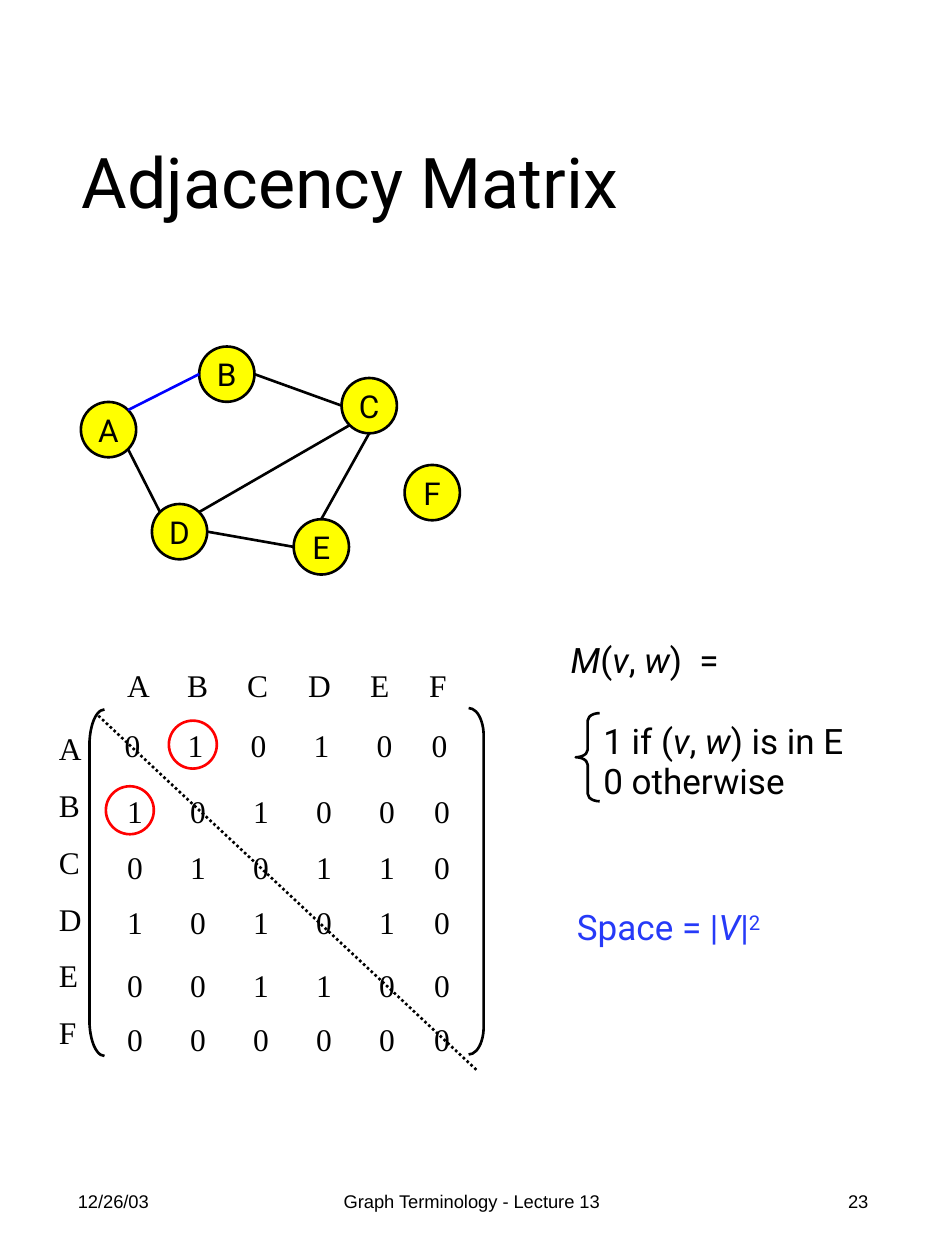
from dataclasses import dataclass
from math import cos, radians, sin

from lxml import etree
from pptx import Presentation
from pptx.dml.color import RGBColor
from pptx.enum import dml, shapes, text
from pptx.oxml import ns
from pptx.util import Pt


@dataclass(frozen=True)
class Theme:
    ink: str = "000000"
    node: str = "FFFF00"
    mark: str = "FF0000"
    edge: str = "0000FF"
    note: str = "263AF8"
    sans: str = "Roboto"
    serif: str = "Times New Roman"
    footer: str = "Arial"
    title_size: float = 40
    body_size: float = 20
    label_size: float = 18
    footer_size: float = 10.5
    line: float = 1.5


THEME = Theme()
ALIGN = text.PP_ALIGN
ANCHOR = text.MSO_ANCHOR
SHAPE = shapes.MSO_SHAPE

RADIUS = 15.8
NODES = {"A": (62, 245.5), "B": (129.6, 213.8), "C": (211, 231.8),
         "E": (183.6, 312.5), "D": (102.6, 303.8), "F": (247, 281.5)}
# Each edge leaves and meets a node at an angle, clockwise from the right
EDGES = [("C", 90, "E", -90), ("D", 0, "E", 180), ("A", 45, "D", -135),
         ("C", 135, "D", -45), ("B", 0, "C", 180), ("A", -45, "B", 180)]

HEADER_TABS = (34.3, 68.6, 103.4, 138.9, 172.6)
ROW_TABS = (36, 72, 108, 144, 175.5)
ROWS = [(64.1, 411.1, "010100"), (65.5, 449.3, "101000"),
        (65.5, 481, "010110"), (65.5, 512.6, "101010"),
        (65.5, 548.6, "001100"), (65.5, 579.6, "000000")]


def write(para, content, *, font=THEME.sans, size=THEME.body_size,
          color=THEME.ink, align=ALIGN.LEFT, before=0, tabs=()):
    """Write marked text: *italic* and ^superscript^."""
    if tabs:
        stops = etree.SubElement(para._p.get_or_add_pPr(), ns.qn("a:tabLst"))
        for stop in tabs:
            etree.SubElement(stops, ns.qn("a:tab"), pos=str(Pt(stop)), algn="l")
    para.alignment = align
    para.space_before = Pt(before)
    for i, part in enumerate(content.split("*")):
        for j, piece in enumerate(part.split("^")):
            if not piece:
                continue
            span = para.add_run()
            span.text = piece
            span.font.name = font
            span.font.size = Pt(size)
            span.font.italic = i % 2 == 1
            span.font.color.rgb = RGBColor.from_string(color)
            if j % 2:
                span._r.get_or_add_rPr().set("baseline", "30000")


def add_text(page, left, top, width, height, *lines, anchor=ANCHOR.TOP,
             gap=0, **style):
    box = page.shapes.add_textbox(Pt(left), Pt(top), Pt(width), Pt(height))
    frame = box.text_frame
    frame.word_wrap = True
    frame.vertical_anchor = anchor
    for i, line in enumerate(lines):
        para = frame.add_paragraph() if i else frame.paragraphs[0]
        write(para, line, before=gap if i else 0, **style)


def add_outline(page, kind, left, top, width, height, *, color=THEME.ink,
                fill=None, adjust=()):
    shape = page.shapes.add_shape(kind, Pt(left), Pt(top), Pt(width), Pt(height))
    shape.shadow.inherit = False
    if fill:
        shape.fill.solid()
        shape.fill.fore_color.rgb = RGBColor.from_string(fill)
    else:
        shape.fill.background()
    shape.line.color.rgb = RGBColor.from_string(color)
    shape.line.width = Pt(THEME.line)
    for i, value in enumerate(adjust):
        shape.adjustments[i] = value
    return shape


def add_node(page, name):
    x, y = NODES[name]
    shape = add_outline(page, SHAPE.OVAL, x - RADIUS, y - RADIUS,
                        2 * RADIUS, 2 * RADIUS, fill=THEME.node)
    frame = shape.text_frame
    frame.word_wrap = False
    frame.vertical_anchor = ANCHOR.MIDDLE
    write(frame.paragraphs[0], name, size=THEME.label_size, align=ALIGN.CENTER)


def rim(name, angle):
    x, y = NODES[name]
    return (x + RADIUS * cos(radians(angle)), y + RADIUS * sin(radians(angle)))


def add_line(page, start, end, *, color=THEME.ink, dash=None):
    points = [Pt(value) for value in (*start, *end)]
    line = page.shapes.add_connector(shapes.MSO_CONNECTOR.STRAIGHT, *points)
    line.line.color.rgb = RGBColor.from_string(color)
    line.line.width = Pt(THEME.line)
    if dash:
        line.line.dash_style = dash
    etree.SubElement(line._element.spPr, ns.qn("a:effectLst"))


def add_title(page, content):
    title = page.shapes.title
    title.left, title.top = Pt(39.6), Pt(36.7)
    title.width, title.height = Pt(465.8), Pt(139)
    title.text_frame.vertical_anchor = ANCHOR.MIDDLE
    para = title.text_frame.paragraphs[0]
    write(para, content, size=THEME.title_size)
    para.line_spacing = 0.9


def add_footer(page):
    for left, width, content, align in (
            (37.4, 121.7, "12/26/03", ALIGN.LEFT),
            (178.6, 182.2, "Graph Terminology - Lecture 13", ALIGN.CENTER),
            (381.6, 121.7, "23", ALIGN.RIGHT)):
        add_text(page, left, 667.4, width, 38.2, content, align=align,
                 anchor=ANCHOR.MIDDLE, font=THEME.footer, size=THEME.footer_size)


def add_matrix(page):
    serif = {"font": THEME.serif, "size": THEME.label_size}
    add_outline(page, SHAPE.LEFT_BRACKET, 51.1, 405.4, 8.6, 198, adjust=[2.375])
    add_outline(page, SHAPE.RIGHT_BRACKET, 267.8, 404.6, 8.6, 198, adjust=[1.833])
    add_text(page, 65.5, 377.3, 207.4, 28.8, "\t".join("ABCDEF"),
             tabs=HEADER_TABS, **serif)
    add_text(page, 26.6, 413.3, 25.9, 198, *"ABCDEF", gap=10.8, **serif)
    for left, top, values in ROWS:
        add_text(page, left, top, 212.4, 28.8, "\t".join(values),
                 tabs=ROW_TABS, **serif)


def add_definition(page):
    add_text(page, 319, 361.4, 125.3, 31.7, "*M*(*v*, *w*)  =")
    add_outline(page, SHAPE.LEFT_BRACE, 329, 407.5, 13.7, 50.4,
                adjust=[0.311, 0.501])
    add_text(page, 337.7, 407.5, 189.4, 31.7, "1 if (*v*, *w*) is in E")
    add_text(page, 337.7, 430.6, 126.7, 31.7, "0 otherwise")
    add_text(page, 322.6, 514.1, 133.9, 31.7, "Space = |*V*|^2^",
             color=THEME.note)


def main():
    deck = Presentation()
    deck.slide_width, deck.slide_height = Pt(540), Pt(720)
    page = deck.slides.add_slide(deck.slide_layouts[5])
    add_title(page, "Adjacency Matrix")
    add_footer(page)

    # Matrix and its definition
    add_matrix(page)
    add_definition(page)

    # Graph, with edge A-B highlighted
    for name in NODES:
        add_node(page, name)
    for first, leave, second, meet in EDGES:
        color = THEME.edge if first + second == "AB" else THEME.ink
        add_line(page, rim(first, leave), rim(second, meet), color=color)

    # Entries of edge A-B, and the axis of symmetry
    for left, top in ((96.5, 411.8), (60.5, 449.3)):
        add_outline(page, SHAPE.OVAL, left, top, 27.4, 27.4, color=THEME.mark)
    add_line(page, (56.2, 409), (272.2, 611.3),
             dash=dml.MSO_LINE.ROUND_DOT)

    deck.save("out.pptx")


if __name__ == "__main__":
    main()
